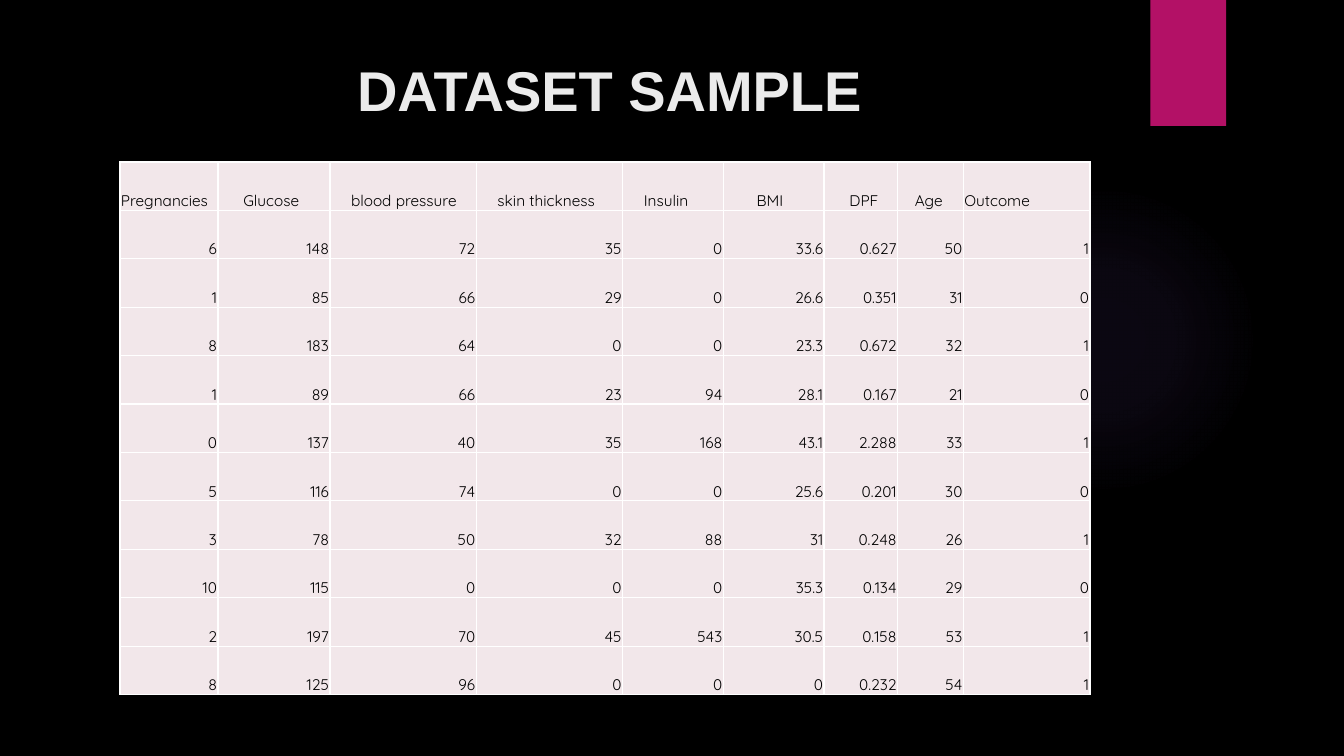
"""Build the dataset sample slide."""
from lxml import etree
from pptx import Presentation
from pptx.dml.color import RGBColor
from pptx.enum import shapes, text
from pptx.oxml import ns, parse_xml
from pptx.util import Pt

BLACK = RGBColor(0x00, 0x00, 0x00)
WHITE = RGBColor(0xFF, 0xFF, 0xFF)
TITLE = RGBColor(0xEB, 0xEB, 0xEB)
MAGENTA = RGBColor(0xB3, 0x11, 0x66)
VIOLET = RGBColor(0x9B, 0x6B, 0xF2)
CELL = RGBColor(0xF2, 0xE7, 0xEA)

GLOW_STOPS = [(0, 7), (36, 6), (69, 0)]
ROW_HEIGHT = 34.6
COLUMNS = [
    ("Pregnancies", 70, 0),
    ("Glucose", 80, 17.4),
    ("blood pressure", 104.5, 14.5),
    ("skin thickness", 104.5, 14.5),
    ("Insulin", 72, 14.5),
    ("BMI", 72, 23.2),
    ("DPF", 52.5, 17.4),
    ("Age", 47, 11.6),
    ("Outcome", 90.5, 0),
]
PATIENTS = [
    ("6", "148", "72", "35", "0", "33.6", "0.627", "50", "1"),
    ("1", "85", "66", "29", "0", "26.6", "0.351", "31", "0"),
    ("8", "183", "64", "0", "0", "23.3", "0.672", "32", "1"),
    ("1", "89", "66", "23", "94", "28.1", "0.167", "21", "0"),
    ("0", "137", "40", "35", "168", "43.1", "2.288", "33", "1"),
    ("5", "116", "74", "0", "0", "25.6", "0.201", "30", "0"),
    ("3", "78", "50", "32", "88", "31", "0.248", "26", "1"),
    ("10", "115", "0", "0", "0", "35.3", "0.134", "29", "0"),
    ("2", "197", "70", "45", "543", "30.5", "0.158", "53", "1"),
    ("8", "125", "96", "0", "0", "0", "0.232", "54", "1"),
]


def add_plain_shape(slide, kind, left, top, width, height, color):
    """Add a filled preset shape without line or shadow."""
    sp = slide.shapes.add_shape(kind, Pt(left), Pt(top), Pt(width), Pt(height))
    sp.shadow.inherit = False
    sp.fill.solid()
    sp.fill.fore_color.rgb = color
    sp.line.fill.background()
    return sp


def add_glow(slide, left, top, size):
    """Add a circle that fades out from its centre."""
    sp = add_plain_shape(slide, shapes.MSO_SHAPE.OVAL, left, top, size, size, VIOLET)
    stops = "".join(
        f'<a:gs pos="{pos * 1000}"><a:srgbClr val="{VIOLET}">'
        f'<a:alpha val="{alpha * 1000}"/></a:srgbClr></a:gs>'
        for pos, alpha in GLOW_STOPS
    )
    grad = parse_xml(
        f'<a:gradFill {ns.nsdecls("a")}><a:gsLst>{stops}</a:gsLst><a:path path="circle">'
        '<a:fillToRect l="50000" t="50000" r="50000" b="50000"/></a:path></a:gradFill>'
    )
    solid = sp.element.spPr.find(ns.qn("a:solidFill"))
    solid.getparent().replace(solid, grad)


def write_paragraph(p, words, font, size, color, bold=False, indent=0):
    """Write one run with its font and the left indent of its paragraph."""
    if indent:
        p._p.get_or_add_pPr().set("marL", str(Pt(indent)))
    r = p.add_run()
    r.text = words
    r.font.name = font
    r.font.size = Pt(size)
    r.font.bold = bold
    r.font.color.rgb = color


def add_title(slide, words, left, top, width, height, indent):
    """Add the slide title."""
    sp = slide.shapes.add_textbox(Pt(left), Pt(top), Pt(width), Pt(height))
    tf = sp.text_frame
    tf.word_wrap = True
    tf.vertical_anchor = text.MSO_ANCHOR.TOP
    write_paragraph(tf.paragraphs[0], words, "Arial", 40, TITLE, True, indent)


def add_borders(cell):
    """Draw a thin white line on all four sides of a cell."""
    tc_pr = cell._tc.get_or_add_tcPr()
    for side in ("lnL", "lnR", "lnT", "lnB"):
        ln = etree.SubElement(tc_pr, ns.qn(f"a:{side}"), w=str(Pt(1)))
        fill = etree.SubElement(ln, ns.qn("a:solidFill"))
        etree.SubElement(fill, ns.qn("a:srgbClr"), val=str(WHITE))


def fill_cell(cell, words, align, indent=0):
    """Style a table cell and write its text."""
    add_borders(cell)
    cell.fill.solid()
    cell.fill.fore_color.rgb = CELL
    cell.margin_left = cell.margin_right = cell.margin_top = Pt(0.7)
    cell.margin_bottom = Pt(0)
    cell.vertical_anchor = text.MSO_ANCHOR.BOTTOM
    p = cell.text_frame.paragraphs[0]
    p.alignment = align
    write_paragraph(p, words, "Quicksand", 11, BLACK, indent=indent)


def add_patient_table(slide, left, top):
    """Add the table of patient measurements."""
    rows = len(PATIENTS) + 1
    width = sum(col_width for _, col_width, _ in COLUMNS)
    table = slide.shapes.add_table(
        rows, len(COLUMNS), Pt(left), Pt(top), Pt(width), Pt(rows * ROW_HEIGHT)
    ).table
    table.first_row = table.horz_banding = False
    for row in table.rows:
        row.height = Pt(ROW_HEIGHT)
    for c, (name, col_width, indent) in enumerate(COLUMNS):
        table.columns[c].width = Pt(col_width)
        fill_cell(table.cell(0, c), name, text.PP_ALIGN.LEFT, indent)
    for r, patient in enumerate(PATIENTS, 1):
        for c, value in enumerate(patient):
            fill_cell(table.cell(r, c), value, text.PP_ALIGN.RIGHT)


def main():
    """Build and save the slide."""
    prs = Presentation()
    prs.slide_width, prs.slide_height = Pt(960), Pt(540)
    slide = prs.slides.add_slide(prs.slide_layouts[6])
    slide.background.fill.solid()
    slide.background.fill.fore_color.rgb = BLACK
    add_glow(slide, 677.5, 132, 221.5)
    add_plain_shape(slide, shapes.MSO_SHAPE.RECTANGLE, 821.8, 0, 54, 90, MAGENTA)
    add_title(slide, "DATASET SAMPLE", 51, 36, 741, 110, 197)
    add_patient_table(slide, 85.7, 115.7)
    prs.save("out.pptx")


if __name__ == "__main__":
    main()
